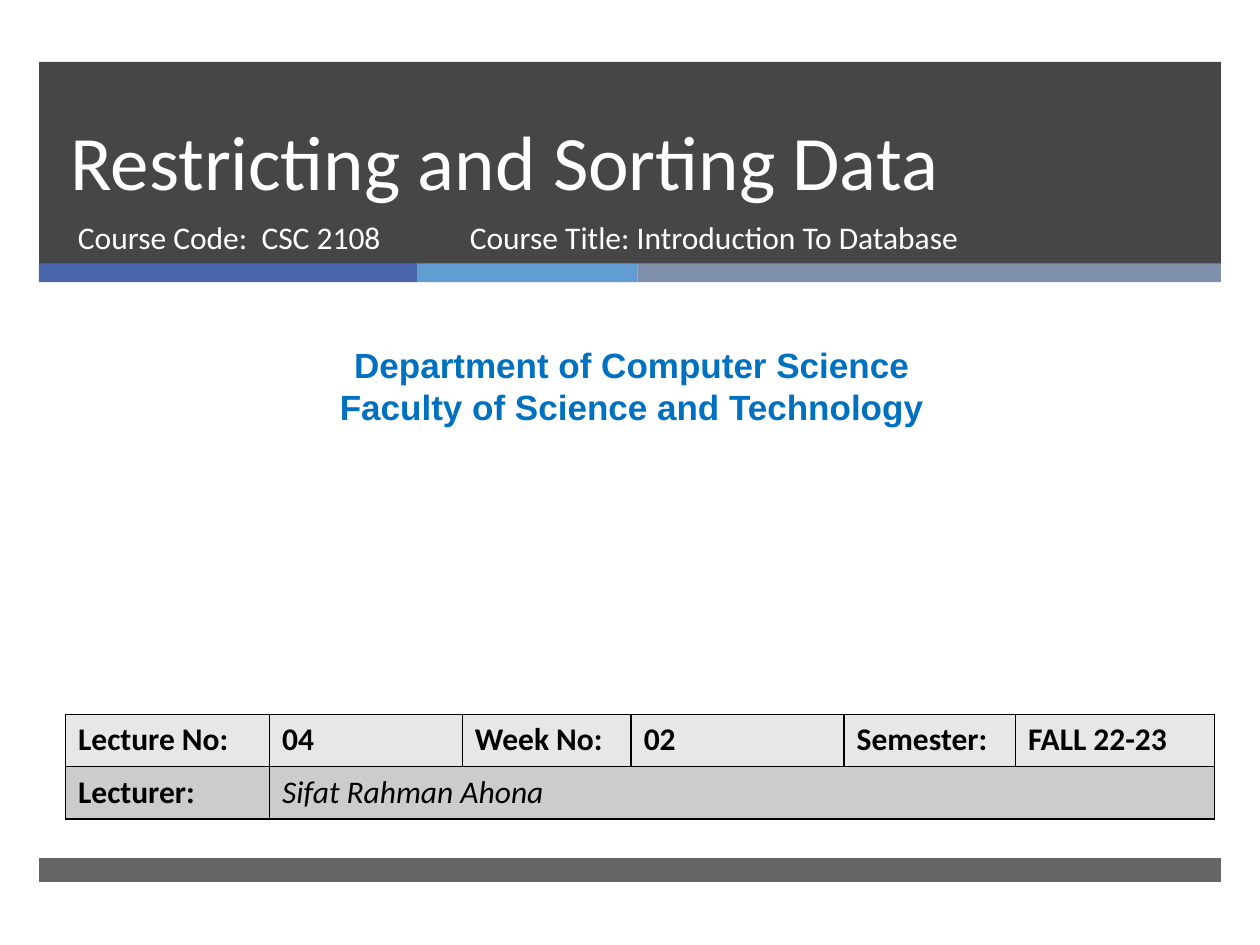
import pptx
import pptx.dml.color
import pptx.enum.shapes
import pptx.enum.text
import pptx.oxml
import pptx.oxml.ns
import pptx.util
from lxml import etree

Inches = pptx.util.Inches
Pt = pptx.util.Pt
Anchor = pptx.enum.text.MSO_ANCHOR
Align = pptx.enum.text.PP_ALIGN
qn = pptx.oxml.ns.qn

COLORS = {
    "charcoal": "262626", "indigo": "4A66AC", "sky": "629DD1", "slate": "7F8FA9",
    "white": "FFFFFF", "blue": "0070C0", "black": "000000",
    "light row": "E7E7E7", "dark row": "CCCCCC",
}


def rgb(name):
    return pptx.dml.color.RGBColor.from_string(COLORS[name])


def write(paragraph, text, color, **font_values):
    """Add one span of text with the given font attributes."""
    span = paragraph.add_run()
    span.text = text
    span.font.color.rgb = rgb(color)
    for name, value in font_values.items():
        setattr(span.font, name, value)


deck = pptx.Presentation()
deck.slide_width, deck.slide_height = Inches(10), Inches(7.5)
page = deck.slides.add_slide(deck.slide_layouts[6])

# Header band, three-colour stripe and footer band: box, colour, opacity in percent
bands = [
    ((0.31, 0.49, 9.38, 1.61), "charcoal", 85),
    ((0.31, 2.09, 3, 0.15), "indigo", 100),
    ((3.31, 2.09, 1.75, 0.15), "sky", 100),
    ((5.06, 2.09, 4.63, 0.15), "slate", 100),
    ((0.31, 6.81, 9.38, 0.19), "charcoal", 70),
]
for place, color, opacity in bands:
    band = page.shapes.add_shape(pptx.enum.shapes.MSO_SHAPE.RECTANGLE, *map(Inches, place))
    band.shadow.inherit = False
    band.fill.solid()
    band.fill.fore_color.rgb = rgb(color)
    band.line.fill.background()
    if opacity < 100:
        fill_color = band.fill._xPr.find(".//" + qn("a:srgbClr"))
        etree.SubElement(fill_color, qn("a:alpha"), val=str(opacity * 1000))

# Headings: box, lines, colour, anchor, alignment, line spacing, font
course_font = {"size": Pt(18), "name": "Calibri"}
headings = [
    ((0.46, 0.49, 8.54, 1.19), ["Restricting and Sorting Data"], "white",
     Anchor.BOTTOM, Align.LEFT, Pt(46), {"size": Pt(44), "name": "Calibri"}),
    ((0.52, 1.68, 3.05, 0.53), ["Course Code:  CSC 2108"], "white",
     Anchor.TOP, Align.LEFT, None, course_font),
    ((3.63, 1.68, 4.55, 0.53), ["Course Title: Introduction To Database"], "white",
     Anchor.TOP, Align.LEFT, None, course_font),
    ((0.08, 2.68, 9.87, 0.77),
     ["Department of Computer Science", "Faculty of Science and Technology"], "blue",
     Anchor.TOP, Align.CENTER, None, {"size": Pt(20), "name": "Arial", "bold": True}),
]
for place, lines, color, anchor, alignment, spacing, font in headings:
    box = page.shapes.add_textbox(*map(Inches, place))
    frame = box.text_frame
    frame.word_wrap = True
    frame.vertical_anchor = anchor
    for index, line in enumerate(lines):
        paragraph = frame.add_paragraph() if index else frame.paragraphs[0]
        paragraph.alignment = alignment
        paragraph.line_spacing = spacing
        write(paragraph, line, color, **font)

# Lecture details
widths = [1.62, 1.53, 1.34, 1.69, 1.36, 1.58]
rows = [
    ("light row", ["Lecture No:", "04", "Week No:", "02", "Semester:", "FALL 22-23"]),
    ("dark row", ["Lecturer:", "Sifat Rahman Ahona", "", "", "", ""]),
]
lecture = page.shapes.add_table(
    len(rows), len(widths), Inches(0.52), Inches(5.67), Inches(9.12), Inches(0.83)).table
for column, width in zip(lecture.columns, widths):
    column.width = Inches(width)
lecture.cell(1, 1).merge(lecture.cell(1, 5))

for row_index, (row_color, texts) in enumerate(rows):
    for column_index, text in enumerate(texts):
        cell = lecture.cell(row_index, column_index)
        properties = cell._tc.get_or_add_tcPr()
        for side in ("lnL", "lnR", "lnT", "lnB"):
            border = etree.SubElement(properties, qn("a:" + side), w=str(Pt(1)))
            solid = etree.SubElement(border, qn("a:solidFill"))
            etree.SubElement(solid, qn("a:srgbClr"), val=COLORS["black"])
        cell.fill.solid()
        cell.fill.fore_color.rgb = rgb(row_color)
        if text:
            is_name = (row_index, column_index) == (1, 1)
            write(cell.text_frame.paragraphs[0], text, "black", size=Pt(18),
                  name="Calibri", bold=not is_name, italic=is_name)

deck.save("out.pptx")
